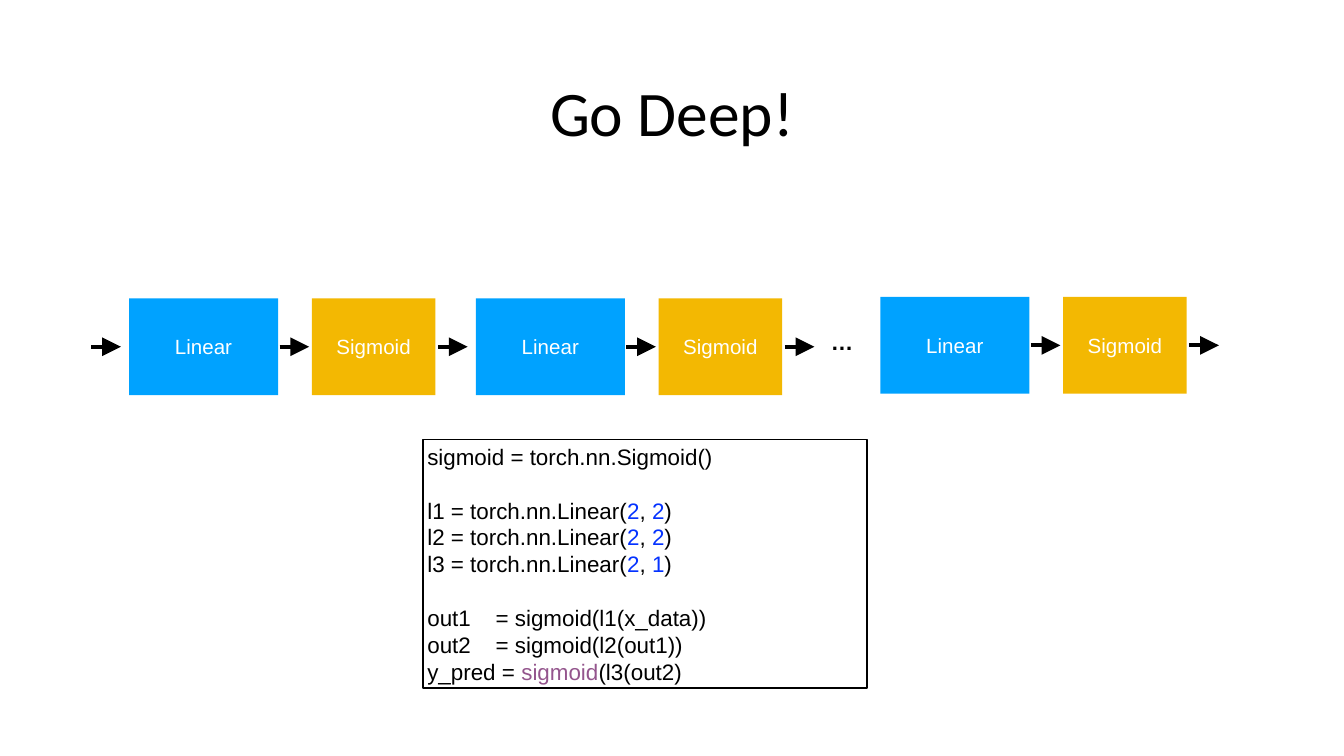
from dataclasses import dataclass

from lxml import etree
from pptx import Presentation
from pptx.dml.color import RGBColor
from pptx.enum.shapes import MSO_CONNECTOR, MSO_SHAPE
from pptx.enum.text import MSO_ANCHOR, PP_ALIGN
from pptx.oxml.ns import qn
from pptx.util import Inches, Pt

RECT = MSO_SHAPE.RECTANGLE
STRAIGHT = MSO_CONNECTOR.STRAIGHT
MIDDLE = MSO_ANCHOR.MIDDLE
LEFT, CENTER = PP_ALIGN.LEFT, PP_ALIGN.CENTER
TITLE_ONLY = 5


@dataclass(frozen=True)
class Theme:
    black: RGBColor = RGBColor(0x00, 0x00, 0x00)
    white: RGBColor = RGBColor(0xFF, 0xFF, 0xFF)
    linear: RGBColor = RGBColor(0x00, 0xA2, 0xFF)
    sigmoid: RGBColor = RGBColor(0xF3, 0xB8, 0x02)
    number: RGBColor = RGBColor(0x04, 0x32, 0xFF)
    function: RGBColor = RGBColor(0x94, 0x55, 0x8D)
    heading_font: str = "Calibri"
    body_font: str = "Arial"
    title_size: Pt = Pt(34)
    label_size: Pt = Pt(11)
    code_size: Pt = Pt(12)
    code_leading: Pt = Pt(14.4)


class SlideBuilder:
    def __init__(self, s, theme):
        self.s = s
        self.theme = theme

    def frame(self, sp, inset=0.03):
        tf = sp.text_frame
        tf.word_wrap = True
        tf.vertical_anchor = MIDDLE
        tf.margin_left = tf.margin_right = Inches(inset)
        tf.margin_top = tf.margin_bottom = Inches(inset)
        return tf

    def style(self, p, size, color, font=None, align=CENTER, bold=False):
        p.alignment = align
        p.font.name = font or self.theme.body_font
        p.font.size = size
        p.font.color.rgb = color
        p.font.bold = bold

    def title(self, text):
        sp = self.s.shapes.title
        sp.left, sp.top = Inches(0.47), Inches(0.3)
        sp.width, sp.height = Inches(9.06), Inches(1.05)
        tf = self.frame(sp, 0.02)
        tf.text = text
        self.style(tf.paragraphs[0], self.theme.title_size, self.theme.black,
                   self.theme.heading_font)

    def text(self, x, y, w, h, text):
        sp = self.s.shapes.add_textbox(Inches(x), Inches(y), Inches(w), Inches(h))
        tf = self.frame(sp)
        tf.text = text
        self.style(tf.paragraphs[0], self.theme.code_size, self.theme.black, bold=True)

    def arrow(self, x, y, shapes=None):
        shapes = self.s.shapes if shapes is None else shapes
        line = shapes.add_connector(
            STRAIGHT, Inches(x), Inches(y), Inches(x + 0.22), Inches(y))
        line.line.color.rgb = self.theme.black
        line.line.width = Pt(2)
        properties = line._element.spPr
        etree.SubElement(properties.find(qn("a:ln")), qn("a:tailEnd"),
                         type="triangle", w="lg", len="lg")
        etree.SubElement(properties, qn("a:effectLst"))

    def box(self, x, y, w, label, fill, shapes):
        sp = shapes.add_shape(RECT, Inches(x), Inches(y), Inches(w), Inches(0.72))
        sp.shadow.inherit = False
        sp.fill.solid()
        sp.fill.fore_color.rgb = fill
        sp.line.fill.background()
        tf = self.frame(sp)
        tf.text = label
        self.style(tf.paragraphs[0], self.theme.label_size, self.theme.white)

    def layer(self, x, y):
        """Draw one group: a linear box and a sigmoid box, an arrow after each."""
        shapes = self.s.shapes.add_group_shape().shapes
        self.box(x, y, 1.11, "Linear", self.theme.linear, shapes)
        self.arrow(x + 1.12, y + 0.36, shapes)
        self.box(x + 1.36, y, 0.92, "Sigmoid", self.theme.sigmoid, shapes)
        self.arrow(x + 2.3, y + 0.36, shapes)

    def code(self, x, y, w, h, blocks):
        """Draw blocks of lines; a line is a list of (text, color) runs."""
        sp = self.s.shapes.add_shape(RECT, Inches(x), Inches(y), Inches(w), Inches(h))
        sp.shadow.inherit = False
        sp.fill.background()
        sp.line.color.rgb = self.theme.black
        sp.line.width = Pt(1)
        tf = self.frame(sp)
        p = tf.paragraphs[0]
        for b, block in enumerate(blocks):
            for i, line in enumerate(block):
                if b or i:
                    p = tf.add_paragraph()
                p.line_spacing = self.theme.code_leading
                if b and not i:
                    p.space_before = self.theme.code_leading
                self.style(p, self.theme.code_size, self.theme.black, align=LEFT)
                for text, color in line:
                    r = p.add_run()
                    r.text = text
                    r.font.color.rgb = color


def main():
    prs = Presentation()
    prs.slide_width = Inches(10)
    prs.slide_height = prs.slide_width * 9 // 16
    theme = Theme()
    s = prs.slides.add_slide(prs.slide_layouts[TITLE_ONLY])
    slide = SlideBuilder(s, theme)

    slide.title("Go Deep!")
    slide.arrow(0.68, 2.58)
    for x, y in [(0.96, 2.22), (3.54, 2.22), (6.55, 2.21)]:
        slide.layer(x, y)
    slide.text(6.15, 2.41, 0.23, 0.26, "…")

    black, number = theme.black, theme.number
    layers = [
        [(f"{name} = torch.nn.Linear(", black), ("2", number), (", ", black),
         (size, number), (")", black)]
        for name, size in [("l1", "2"), ("l2", "2"), ("l3", "1")]
    ]
    slide.code(3.15, 3.27, 3.3, 1.85, [
        [[("sigmoid = torch.nn.Sigmoid()", black)]],
        layers,
        [[("out1    = sigmoid(l1(x_data))", black)],
         [("out2    = sigmoid(l2(out1))", black)],
         [("y_pred = ", black), ("sigmoid", theme.function), ("(l3(out2)", black)]],
    ])
    prs.save("out.pptx")


if __name__ == "__main__":
    main()
